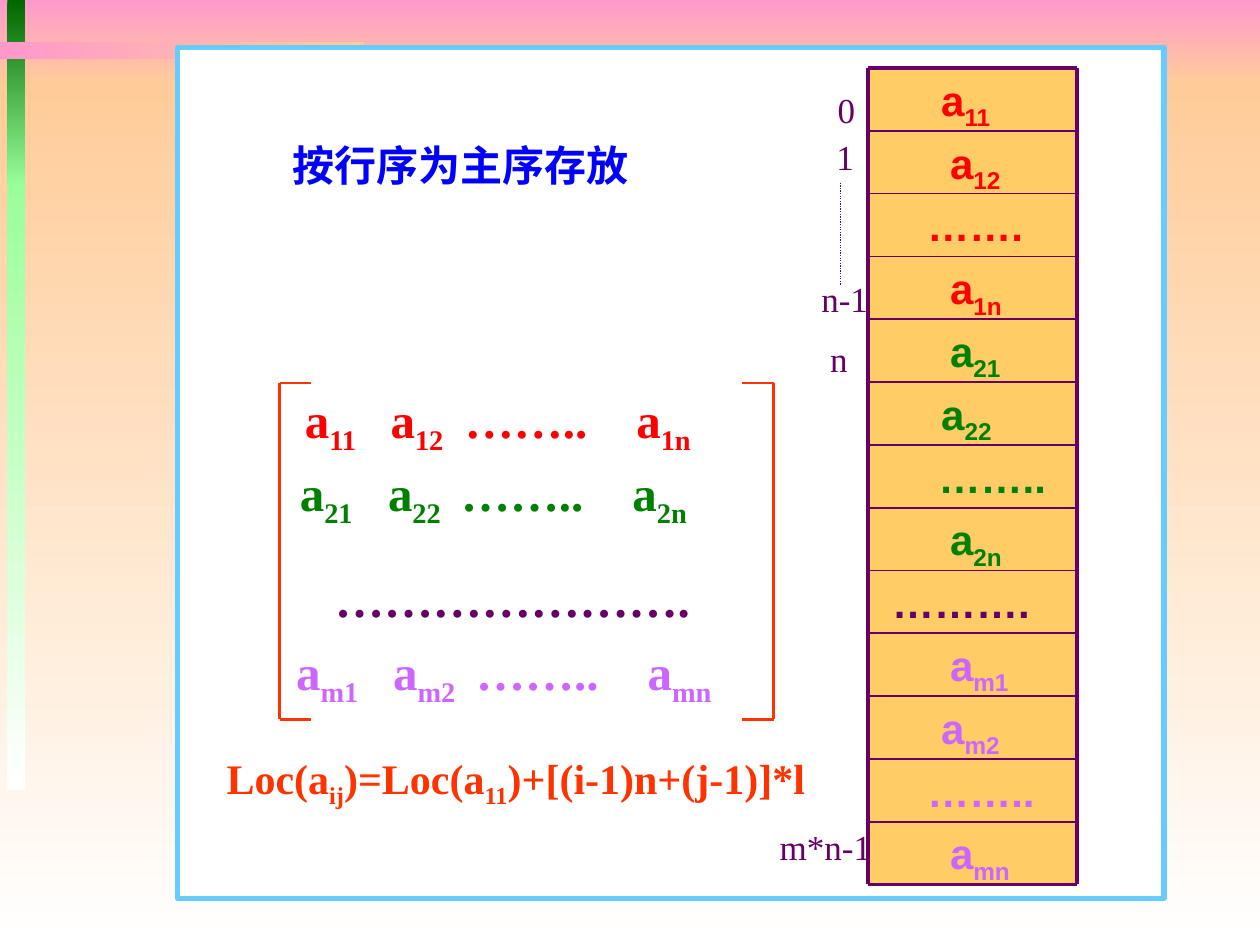
"""Build a slide on storing a matrix in row-major order."""
from lxml import etree
from pptx import Presentation
from pptx.dml.color import RGBColor
from pptx.enum import dml, shapes, text
from pptx.oxml.ns import qn
from pptx.util import Inches, Pt

THEME = {
    "pink": "FF99CC", "peach": "FFCC99", "white": "FFFFFF", "forest": "006600",
    "mint": "99FF99", "sky": "66CCFF", "cell": "FFCC66", "ink": "660066",
    "first": "FF0000", "second": "008000", "last": "CC66FF", "accent": "FF3300",
    "title": "0000FF", "serif": "Times New Roman", "sans": "Arial",
    "matrix_size": 28, "body_size": 24, "label_size": 20,
}

BANDS = [
    ((0, 0, 10, 0.67), "pink", "peach", 270),
    ((0, 0.67, 10, 6.83), "peach", "white", 270),
    ((0.06, 0, 0.14, 1.48), "forest", "mint", 270),
    ((0.06, 1.46, 0.14, 4.81), "mint", "white", 270),
    ((0, 0.33, 2.89, 0.14), "pink", "peach", 0),
]
PANEL = (1.41, 0.38, 7.83, 6.75)

TITLE = [("按行序为主序存放", "")]
FORMULA = [("Loc(a", "ij"), (")=Loc(a", "11"), (")+[(i-1)n+(j-1)]*l", "")]

# top, width, colour, entries, left edge of each entry
MATRIX_LEFT = 1.3
MATRIX = [
    (3.04, 4.58, "first", [("a", "11"), ("a", "12"), ("……..", ""), ("a", "1n")],
     [2.42, 3.1, 3.69, 5.05]),
    (3.62, 5, "second", [("a", "21"), ("a", "22"), ("……..", ""), ("a", "2n")],
     [2.38, 3.08, 3.66, 5.02]),
    (4.46, 4.67, "ink", [("………………….", "")], [2.66]),
    (5.04, 5.67, "last", [("a", "m1"), ("a", "m2"), ("……..", ""), ("a", "mn")],
     [2.35, 3.12, 3.78, 5.14]),
]
BRACKET_TOP, BRACKET_BOTTOM = 3.04, 5.71
BRACKETS = [(2.22, 2.47), (6.14, 5.89)]

# text, subscript, colour, indent
CELLS = [
    ("a", "11", "first", 0.48), ("a", "12", "first", 0.55),
    ("…….", "", "first", 0.37), ("a", "1n", "first", 0.55),
    ("a", "21", "second", 0.55), ("a", "22", "second", 0.48),
    ("……..", "", "second", 0.46), ("a", "2n", "second", 0.55),
    ("……….", "", "ink", 0.09),
    ("a", "m1", "last", 0.55), ("a", "m2", "last", 0.48),
    ("……..", "", "last", 0.37), ("a", "mn", "last", 0.55),
]
COLUMN_LEFT, COLUMN_RIGHT, COLUMN_TOP, COLUMN_BOTTOM = 6.89, 8.55, 0.54, 7.02

INDEXES = [
    ("0", (6.55, 0.65, 0.34, 0.43)), ("1", (6.54, 1.03, 0.34, 0.43)),
    ("n-1", (6.42, 2.15, 0.57, 0.43)), ("m*n-1", (6.09, 6.5, 0.93, 0.43)),
    ("n", (6.49, 2.63, 0.34, 0.43)),
]


def colour(key):
    return RGBColor.from_string(THEME[key])


def add_rect(slide, place, fill=None):
    rect = slide.shapes.add_shape(
        shapes.MSO_SHAPE.RECTANGLE, *map(Inches, place))
    rect.shadow.inherit = False
    rect.line.fill.background()
    if fill:
        rect.fill.solid()
        rect.fill.fore_color.rgb = colour(fill)
    return rect


def add_band(slide, place, start, end, angle):
    band = add_rect(slide, place)
    band.fill.gradient()
    band.fill.gradient_angle = angle
    for stop, key, position in zip(band.fill.gradient_stops, (start, end), (0, 1)):
        stop.color.rgb = colour(key)
        stop.position = position


def add_line(slide, start, end, key, width, dash=None):
    line = slide.shapes.add_connector(
        shapes.MSO_CONNECTOR.STRAIGHT, *map(Inches, start + end))
    line.line.color.rgb = colour(key)
    line.line.width = Pt(width)
    if dash:
        line.line.dash_style = dash
    etree.SubElement(line._element.spPr, qn("a:effectLst"))


def write(shape, pieces, key, size, font="serif", bold=True, indent=0.0, stops=()):
    frame = shape.text_frame
    frame.margin_left = Inches(0.1 + indent)
    paragraph = frame.paragraphs[0]
    paragraph.alignment = text.PP_ALIGN.LEFT
    if stops:
        tabs = etree.SubElement(paragraph._p.get_or_add_pPr(), qn("a:tabLst"))
        for stop in stops:
            etree.SubElement(tabs, qn("a:tab"), pos=str(Inches(stop)), algn="l")
    for number, (base, subscript) in enumerate(pieces):
        lead = "\t" if stops and number else ""
        for words, offset in ((lead + base, None), (subscript, "-25000")):
            if not words:
                continue
            run = paragraph.add_run()
            run.text = words
            run.font.name = THEME[font]
            run.font.size = Pt(THEME[size])
            run.font.bold = bold
            run.font.color.rgb = colour(key)
            if offset:
                run._r.get_or_add_rPr().set("baseline", offset)


def add_text(slide, place, pieces, key, size, wrap=True, **style):
    box = slide.shapes.add_textbox(*map(Inches, place))
    box.text_frame.word_wrap = wrap
    box.text_frame.auto_size = text.MSO_AUTO_SIZE.SHAPE_TO_FIT_TEXT
    write(box, pieces, key, size, **style)


def add_matrix(slide):
    for top, width, key, entries, lefts in MATRIX:
        add_text(slide, (MATRIX_LEFT, top, width, 0.57), entries, key, "matrix_size",
                 indent=lefts[0] - MATRIX_LEFT - 0.1,
                 stops=[left - lefts[0] for left in lefts[1:]])
    for spine, tip in BRACKETS:
        add_line(slide, (spine, BRACKET_TOP), (spine, BRACKET_BOTTOM), "accent", 1.5)
        for y in (BRACKET_TOP, BRACKET_BOTTOM):
            add_line(slide, (spine, y), (tip, y), "accent", 1.5)


def add_column(slide):
    step = (COLUMN_BOTTOM - COLUMN_TOP) / len(CELLS)
    for row, (base, subscript, key, indent) in enumerate(CELLS):
        cell = add_rect(slide, (COLUMN_LEFT, COLUMN_TOP + row * step,
                                COLUMN_RIGHT - COLUMN_LEFT, step), "cell")
        cell.text_frame.vertical_anchor = text.MSO_ANCHOR.TOP
        write(cell, [(base, subscript)], key, "body_size", font="sans", indent=indent)
    for row in range(len(CELLS) + 1):
        y = COLUMN_TOP + row * step
        width = 2.25 if row in (0, len(CELLS)) else 1
        add_line(slide, (COLUMN_LEFT, y), (COLUMN_RIGHT, y), "ink", width)
    for x in (COLUMN_LEFT, COLUMN_RIGHT):
        add_line(slide, (x, COLUMN_TOP), (x, COLUMN_BOTTOM), "ink", 2.25)


def main():
    deck = Presentation()
    deck.slide_width, deck.slide_height = Inches(10), Inches(7.5)
    slide = deck.slides.add_slide(deck.slide_layouts[6])
    for band in BANDS:
        add_band(slide, *band)
    panel = add_rect(slide, PANEL, "white")
    panel.line.color.rgb = colour("sky")
    panel.line.width = Pt(3)
    add_matrix(slide)
    add_text(slide, (1.7, 5.92, 5.17, 0.51), FORMULA, "accent", "body_size")
    add_text(slide, (2.05, 1.06, 3.08, 0.5), TITLE, "title", "body_size", indent=0.17)
    add_column(slide)
    for index, place in INDEXES:
        add_text(slide, place, [(index, "")], "ink", "label_size", wrap=False, bold=False)
    add_line(slide, (6.67, 1.45), (6.67, 2.26), "ink", 0.75,
             dml.MSO_LINE.ROUND_DOT)
    deck.save("out.pptx")


if __name__ == "__main__":
    main()
